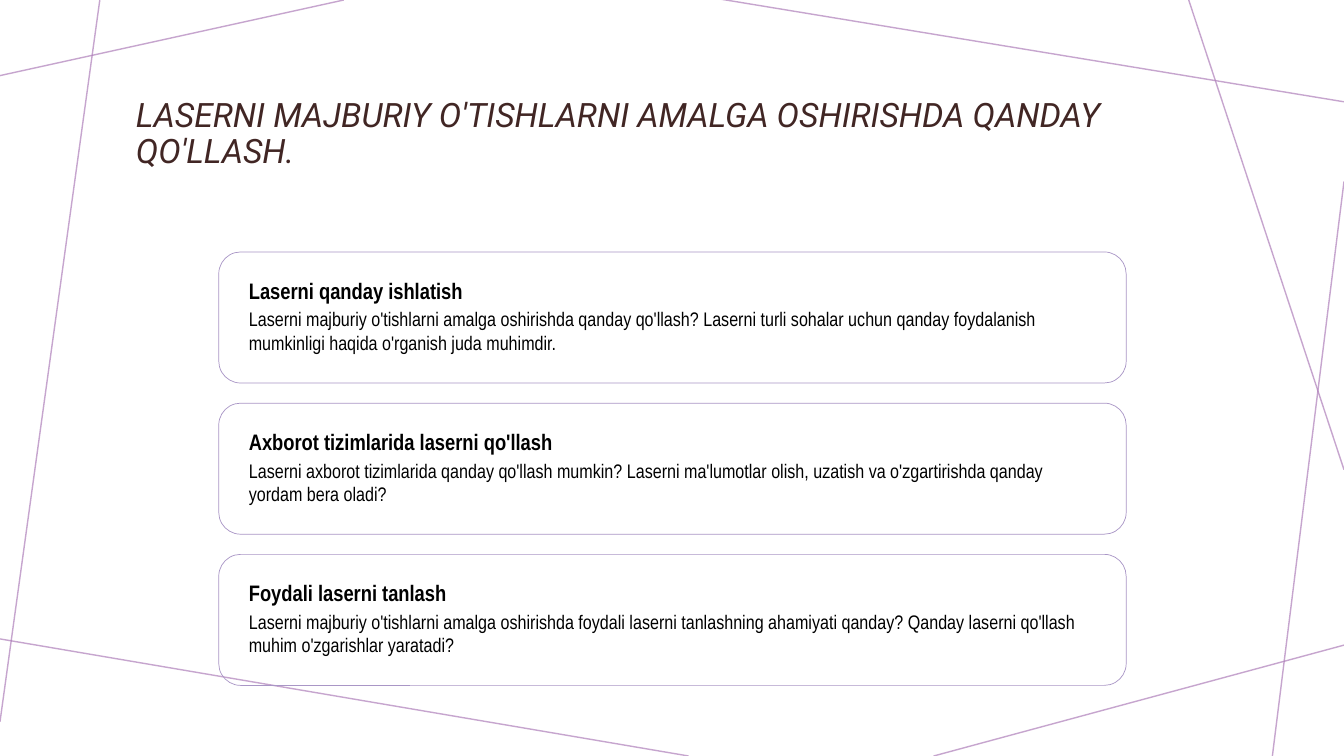
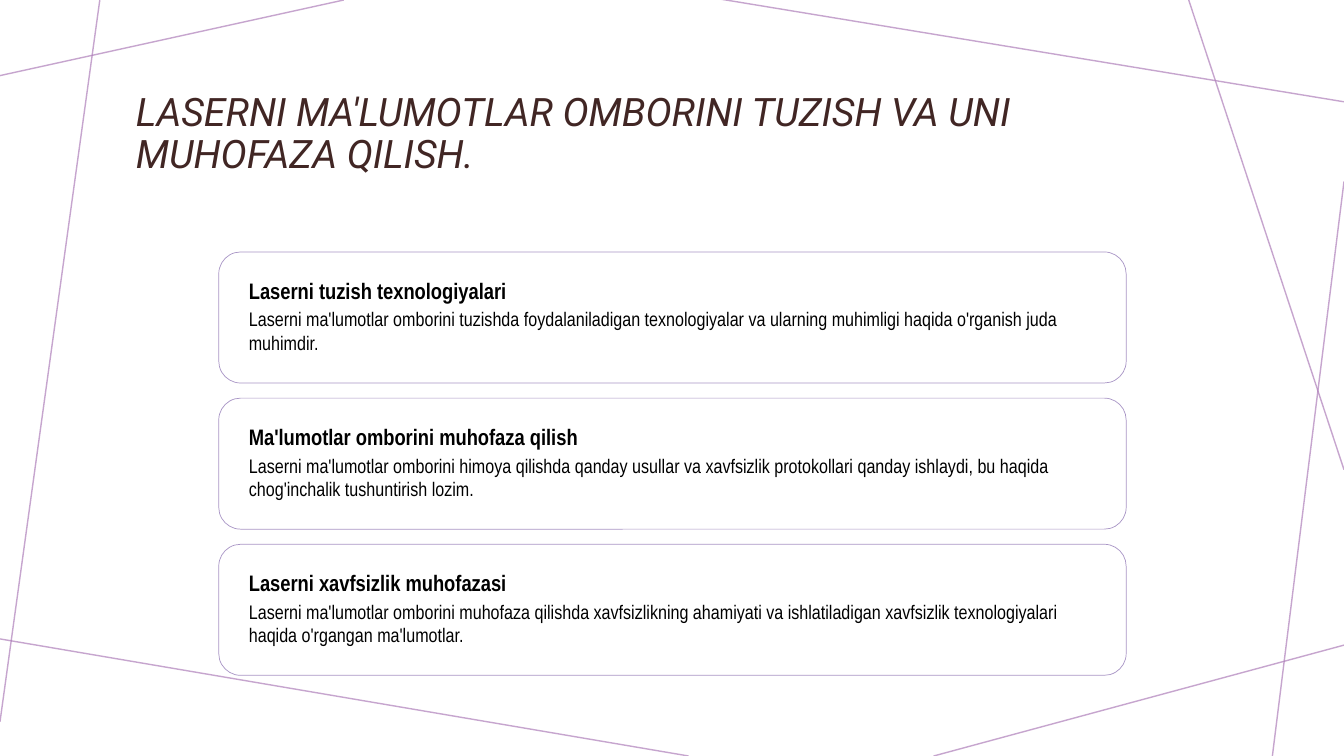
from lxml.etree import SubElement
from pptx import Presentation
from pptx.dml.color import RGBColor
from pptx.enum.shapes import MSO_CONNECTOR as Connector, MSO_SHAPE as Shape
from pptx.enum.text import MSO_ANCHOR as Anchor, MSO_AUTO_SIZE as AutoSize
from pptx.oxml.ns import qn
from pptx.util import Inches, Pt

WIDTH, HEIGHT = 13.33, 7.5
RAYS = [
    ((3.41, 0), (0, 0.75)),
    ((0.99, 0), (0, 7.16)),
    ((6.83, HEIGHT), (-0.05, 6.33)),
    ((WIDTH, 6.4), (9.26, HEIGHT)),
    ((WIDTH, 1.8), (12.62, HEIGHT)),
    ((WIDTH, 4.66), (11.79, 0)),
    ((WIDTH, 1.01), (7.14, -0.01)),
]
CARD_LEFT, CARD_TOP, CARD_WIDTH, CARD_HEIGHT = 2.17, 2.5, 9, 1.3
CARD_PADDING, HEADING_HEIGHT, BODY_HEIGHT = 0.2, 0.3, 0.8

TOPICS = [
    {
        "title": "LASERNI MAJBURIY O'TISHLARNI AMALGA OSHIRISHDA QANDAY QO'LLASH.",
        "title_size": 24,
        "pitch": 1.5,
        "cards": [
            ("Laserni qanday ishlatish",
             "Laserni majburiy o'tishlarni amalga oshirishda qanday qo'llash? "
             "Laserni turli sohalar uchun qanday foydalanish mumkinligi haqida "
             "o'rganish juda muhimdir."),
            ("Axborot tizimlarida laserni qo'llash",
             "Laserni axborot tizimlarida qanday qo'llash mumkin? Laserni "
             "ma'lumotlar olish, uzatish va o'zgartirishda qanday yordam bera oladi?"),
            ("Foydali laserni tanlash",
             "Laserni majburiy o'tishlarni amalga oshirishda foydali laserni "
             "tanlashning ahamiyati qanday? Qanday laserni qo'llash muhim "
             "o'zgarishlar yaratadi?"),
        ],
    },
    {
        "title": "LASERNI MA'LUMOTLAR OMBORINI TUZISH VA UNI MUHOFAZA QILISH.",
        "title_size": 28,
        "pitch": 1.45,
        "cards": [
            ("Laserni tuzish texnologiyalari",
             "Laserni ma'lumotlar omborini tuzishda foydalaniladigan "
             "texnologiyalar va ularning muhimligi haqida o'rganish juda muhimdir."),
            ("Ma'lumotlar omborini muhofaza qilish",
             "Laserni ma'lumotlar omborini himoya qilishda qanday usullar va "
             "xavfsizlik protokollari qanday ishlaydi, bu haqida chog'inchalik "
             "tushuntirish lozim."),
            ("Laserni xavfsizlik muhofazasi",
             "Laserni ma'lumotlar omborini muhofaza qilishda xavfsizlikning "
             "ahamiyati va ishlatiladigan xavfsizlik texnologiyalari haqida "
             "o'rgangan ma'lumotlar."),
        ],
    },
]


def color(value):
    return RGBColor.from_string(value)


class Deck:
    RAY_COLOR, CARD_COLOR = "AF7FBA", "A996C6"
    TITLE = {"name": "Roboto", "italic": True, "color": "412624"}
    HEADING = {"name": "Arial Narrow", "size": Pt(16), "bold": True, "color": "000000"}
    BODY = {"name": "Arial Narrow", "size": Pt(14), "color": "000000"}

    def __init__(self):
        self.presentation = Presentation()
        self.presentation.slide_width = Inches(WIDTH)
        self.presentation.slide_height = Inches(HEIGHT)
        self.slide = None

    def add_slide(self):
        blank = self.presentation.slide_layouts[6]
        self.slide = self.presentation.slides.add_slide(blank)
        for start, end in RAYS:
            self.ray(start, end)

    def ray(self, start, end):
        ray = self.slide.shapes.add_connector(
            Connector.STRAIGHT, *(Inches(value) for value in start + end))
        ray.line.width = Pt(1)
        ray.line.color.rgb = color(self.RAY_COLOR)
        properties = ray._element.spPr
        tint = properties.find(".//" + qn("a:srgbClr"))
        SubElement(tint, qn("a:alpha"), val="70000")
        SubElement(properties, qn("a:effectLst"))

    def text(self, words, box, style, frame_format, line_spacing=None):
        frame = self.slide.shapes.add_textbox(
            *(Inches(value) for value in box)).text_frame
        for name, value in {"word_wrap": True, **frame_format}.items():
            setattr(frame, name, value)
        paragraph = frame.paragraphs[0]
        paragraph.line_spacing = line_spacing
        run = paragraph.add_run()
        run.text = words
        for name, value in style.items():
            if name == "color":
                run.font.color.rgb = color(value)
            else:
                setattr(run.font, name, value)

    def title(self, words, size):
        self.text(words, (1.25, 0.58, 10.83, 1.51),
                  {**self.TITLE, "size": Pt(size)},
                  {"vertical_anchor": Anchor.MIDDLE}, 0.9)

    def card(self, top, heading, body):
        outline = self.slide.shapes.add_shape(
            Shape.ROUNDED_RECTANGLE, Inches(CARD_LEFT), Inches(top),
            Inches(CARD_WIDTH), Inches(CARD_HEIGHT))
        outline.shadow.inherit = False
        outline.fill.background()
        outline.line.width = Pt(0.5)
        outline.line.color.rgb = color(self.CARD_COLOR)

        left = CARD_LEFT + CARD_PADDING
        width = CARD_WIDTH - 2 * CARD_PADDING
        heading_top = top + CARD_PADDING
        growing = {"auto_size": AutoSize.SHAPE_TO_FIT_TEXT}
        self.text(heading, (left, heading_top, width, HEADING_HEIGHT),
                  self.HEADING, growing)
        self.text(body, (left, heading_top + HEADING_HEIGHT, width, BODY_HEIGHT),
                  self.BODY, growing)


def main():
    deck = Deck()
    for topic in TOPICS:
        deck.add_slide()
        deck.title(topic["title"], topic["title_size"])
        for index, (heading, body) in enumerate(topic["cards"]):
            deck.card(CARD_TOP + index * topic["pitch"], heading, body)
    deck.presentation.save("out.pptx")


if __name__ == "__main__":
    main()
